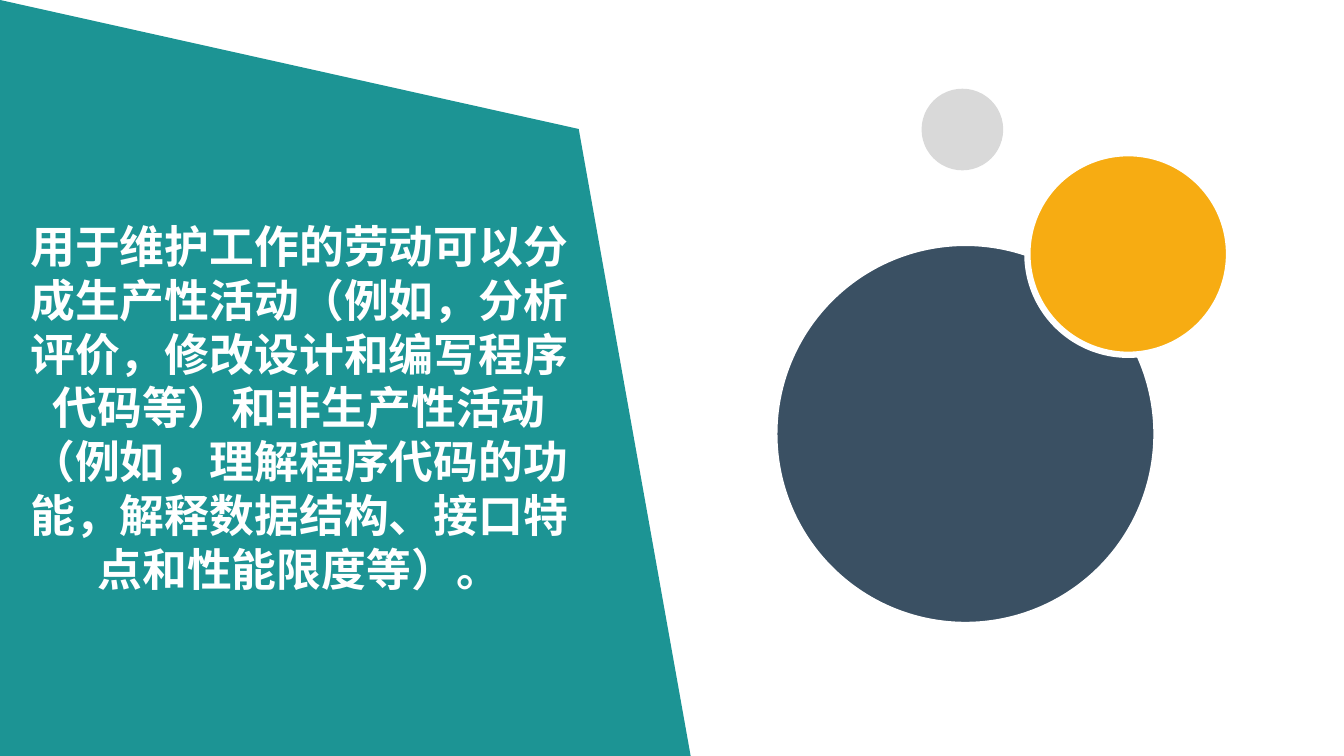
from lxml import etree
from pptx import Presentation
from pptx import util as u
from pptx.dml.color import RGBColor
from pptx.enum import shapes, text
from pptx.oxml.ns import qn

PX = 9144  # 100 px to the inch
WIDTH, HEIGHT = 1333, 750
FONT = "Noto Sans CJK SC"
COLORS = {
    "teal": "1C9494",
    "grey": "D9D9D9",
    "navy": "3A5063",
    "amber": "F7AC12",
    "white": "FFFFFF",
}
STATEMENT = (
    "用于维护工作的劳动可以分成生产性活动（例如，分析评价，修改设计和编写程序代码等）"
    "和非生产性活动（例如，理解程序代码的功能，解释数据结构、接口特点和性能限度等）。"
)


def px(*lengths):
    return [u.Emu(length * PX) for length in lengths]


def color(name):
    return RGBColor.from_string(COLORS[name])


def paint(shape, fill, outlined=False):
    shape.shadow.inherit = False
    shape.fill.solid()
    shape.fill.fore_color.rgb = color(fill)
    if outlined:
        shape.line.color.rgb = color("white")
        shape.line.width = u.Pt(4.5)
    else:
        shape.line.fill.background()


def add_panel(page, left, top, width, height):
    """Slanted panel, cut at its upper right corner."""
    right, bottom = left + width, top + height
    outline = page.shapes.build_freeform(left, top, scale=PX)
    outline.add_line_segments(
        [(right - 111, top + 128), (right, bottom), (left, bottom)], close=True
    )
    paint(outline.convert_to_shape(), "teal")


def add_statement(page, left, top, width, height):
    """Bold centred paragraph on the panel."""
    box = page.shapes.add_textbox(*px(left, top, width, height))
    frame = box.text_frame
    frame.word_wrap = True
    frame.vertical_anchor = text.MSO_ANCHOR.TOP
    frame.margin_left, frame.margin_top, frame.margin_right, frame.margin_bottom = px(7, 7, 7, 7)
    frame.text = STATEMENT
    para = frame.paragraphs[0]
    para.alignment = text.PP_ALIGN.CENTER
    para.line_spacing = u.Pt(38.4)
    font = para.runs[0].font
    font.name, font.size, font.bold = FONT, u.Pt(32), True
    font.color.rgb = color("white")
    # East Asian typeface
    span = para.runs[0]._r.get_or_add_rPr()
    etree.SubElement(span, qn("a:ea")).set("typeface", FONT)


def add_circles(page, left, top):
    """Cluster of three circles: offset x, offset y, diameter, fill, outlined."""
    circles = [
        (146, 0, 81, "grey", False),
        (0, 153, 379, "navy", True),
        (251, 64, 200, "amber", True),
    ]
    for x, y, size, fill, outlined in circles:
        circle = page.shapes.add_shape(
            shapes.MSO_SHAPE.OVAL, *px(left + x, top + y, size, size)
        )
        paint(circle, fill, outlined)


def main():
    deck = Presentation()
    deck.slide_width, deck.slide_height = px(WIDTH, HEIGHT)
    page = deck.slides.add_slide(deck.slide_layouts[6])
    add_panel(page, 0, 0, 685, HEIGHT)
    add_statement(page, 12, 210, 570, 390)
    add_circles(page, 768, 88)
    deck.save("out.pptx")


if __name__ == "__main__":
    main()
